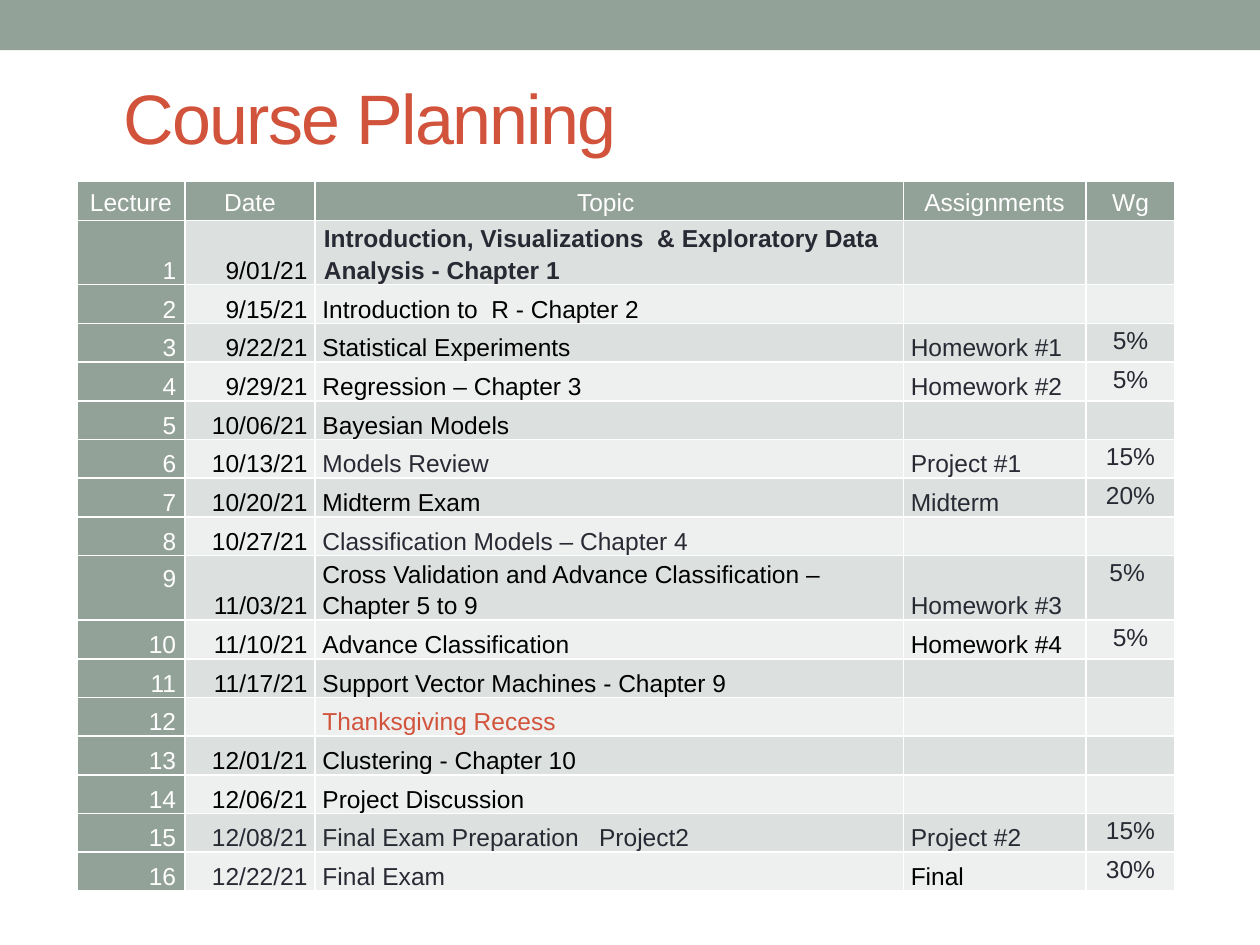
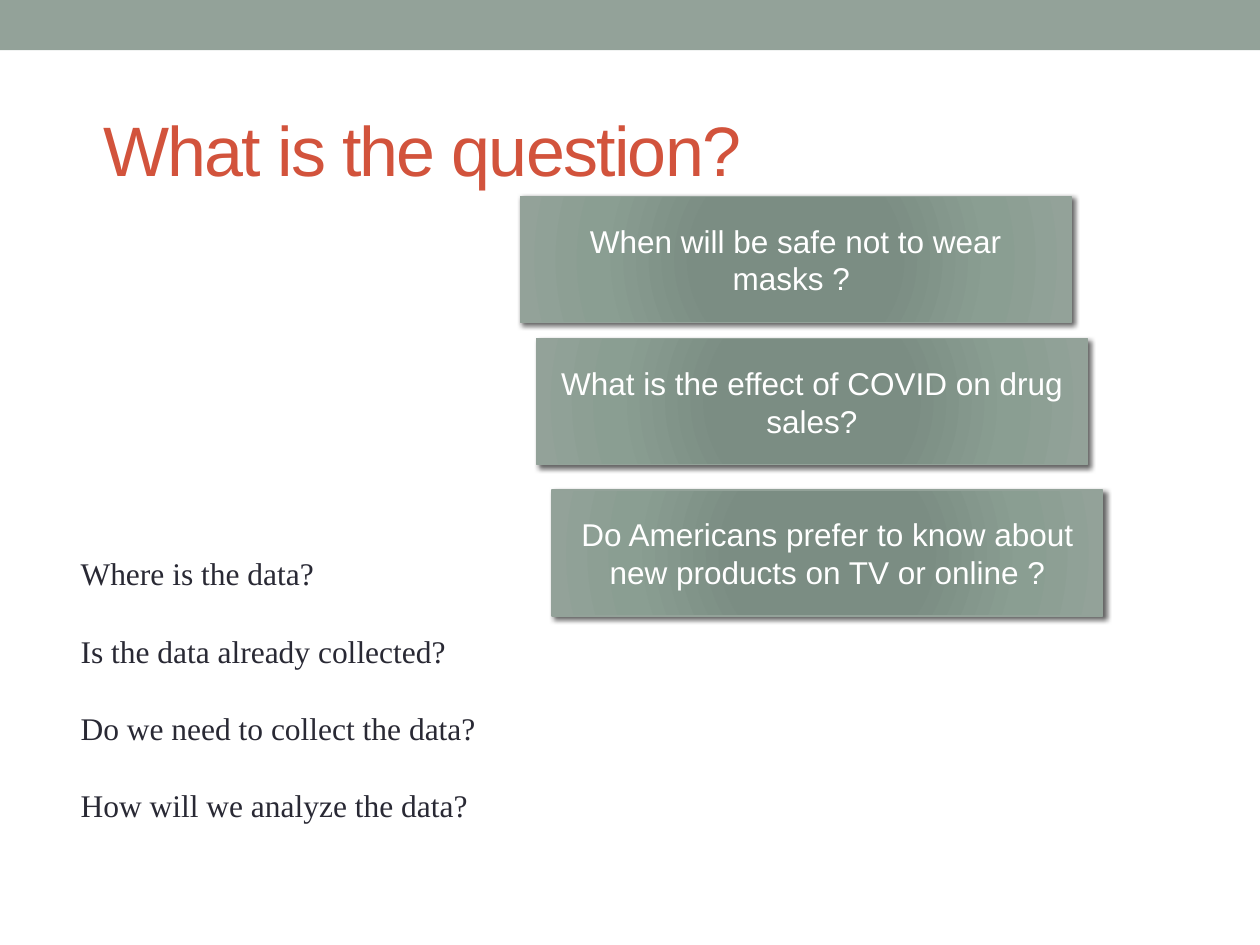
import pptx
import pptx.dml.color
import pptx.enum.shapes
import pptx.enum.text
import pptx.oxml
import pptx.oxml.ns
import pptx.util

Cm = pptx.util.Cm
Pt = pptx.util.Pt
ALIGN = pptx.enum.text.PP_ALIGN
ANCHOR = pptx.enum.text.MSO_ANCHOR

SAGE, RUST, INK = "93A299", "D2533C", "292934"
WHITE, BLACK = "FFFFFF", "000000"
BANDS = ("EEF0EF", "DCE0DE")
GLOW = ((0, "7B8E82"), (34, "7B8D83"), (70, "8A9E92"), (100, SAGE))
TITLE_ONLY, TITLE_AND_BODY = 5, 1

HEADINGS = ("Lecture", "Date", "Topic ", "Assignments", "Wg")
COLUMN_WIDTHS = (2.18, 2.62, 11.86, 3.68, 1.8)
LECTURES = (
    ("9/01/21", "Introduction, Visualizations  & Exploratory Data Analysis - Chapter 1", "", ""),
    ("9/15/21", "Introduction to  R - Chapter 2", "", ""),
    ("9/22/21", "Statistical Experiments", "Homework #1", "5%"),
    ("9/29/21", "Regression – Chapter 3", "Homework #2", "5%"),
    ("10/06/21", "Bayesian Models", "", ""),
    ("10/13/21", "Models Review", "Project #1", "15%"),
    ("10/20/21", "Midterm Exam", "Midterm", "20%"),
    ("10/27/21", "Classification Models – Chapter 4", "", ""),
    ("11/03/21", "Cross Validation and Advance Classification – Chapter 5 to 9", "Homework #3", "5% "),
    ("11/10/21", "Advance Classification", "Homework #4 ", "5%"),
    ("11/17/21", "Support Vector Machines - Chapter 9", "", ""),
    ("", "Thanksgiving Recess", "", ""),
    ("12/01/21", "Clustering - Chapter 10", "", ""),
    ("12/06/21", "Project Discussion", "", ""),
    ("12/08/21", "Final Exam Preparation   Project2", "Project #2", "15%"),
    ("12/22/21", "Final Exam", "Final", "30%"),
)
TWO_LINE_LECTURES = {1, 9}
RECESS = 12
INK_DATES = {15, 16}
INK_TOPICS = {1, 6, 8, 15, 16}
BLACK_ASSIGNMENTS = {10, 16}

EXAMPLES = (
    (10.49, 3.96, "When will be safe not to wear masks ? "),
    (10.82, 6.83, "What is the effect of COVID on drug sales?"),
    (11.13, 9.88, "Do Americans prefer to know about new products on TV or online ?"),
)
DATA_QUESTIONS = (
    "Where is the data?",
    "Is the data already collected?",
    "Do we need to collect the data?",
    "How will we analyze the data?",
)


def rgb(hex_code):
    return pptx.dml.color.RGBColor.from_string(hex_code)


def drawing_xml(tag, attributes="", content=""):
    """Build one element of the DrawingML namespace."""
    namespace = pptx.oxml.ns.nsdecls("a")
    return pptx.oxml.parse_xml(f"<a:{tag} {namespace} {attributes}>{content}</a:{tag}>")


def color_xml(hex_code, content=""):
    return f'<a:srgbClr val="{hex_code}">{content}</a:srgbClr>'


def place(shape, left, top, width, height):
    shape.left, shape.top, shape.width, shape.height = map(Cm, (left, top, width, height))


class Deck:
    def __init__(self):
        self.prs = pptx.Presentation()
        self.prs.slide_width, self.prs.slide_height = Cm(25.4), Cm(19.05)
        self.slide = None

    def new_slide(self, layout):
        self.slide = self.prs.slides.add_slide(self.prs.slide_layouts[layout])

    def rectangle(self, left, top, width, height):
        kind = pptx.enum.shapes.MSO_SHAPE.RECTANGLE
        shape = self.slide.shapes.add_shape(kind, *map(Cm, (left, top, width, height)))
        shape.shadow.inherit = False
        return shape

    def master_band(self):
        """Draw the top band and hand it to the master, behind everything."""
        band = self.rectangle(0, 0, 25.4, 1.01)
        band.fill.solid()
        band.fill.fore_color.rgb = rgb(SAGE)
        band.line.fill.background()
        self.prs.slide_master.shapes._spTree.insert(2, band._element)

    def styled_run(self, paragraph, text, size, color, font="Arial", align=ALIGN.LEFT, bold=False):
        paragraph.alignment = align
        run = paragraph.add_run()
        run.text = text
        run.font.size, run.font.name, run.font.bold = Pt(size), font, bold
        run.font.color.rgb = rgb(color)
        return run

    def title(self, text, left, top, width, height):
        title = self.slide.shapes.title
        place(title, left, top, width, height)
        frame = title.text_frame
        frame.auto_size = pptx.enum.text.MSO_AUTO_SIZE.NONE
        frame.vertical_anchor = ANCHOR.MIDDLE
        run = self.styled_run(frame.paragraphs[0], text, 40, RUST)
        run._r.get_or_add_rPr().set("spc", "-100")

    def plain_list(self, items, left, top, width, height):
        body = self.slide.placeholders[1]
        place(body, left, top, width, height)
        frame = body.text_frame
        frame.auto_size = pptx.enum.text.MSO_AUTO_SIZE.NONE
        for index, item in enumerate(items):
            paragraph = frame.add_paragraph() if index else frame.paragraphs[0]
            paragraph.space_before, paragraph.space_after = Pt(0), Pt(22.5)
            self.styled_run(paragraph, item, 18, INK, "Times New Roman")
            properties = paragraph._p.get_or_add_pPr()
            properties.set("marL", "0")
            properties.set("indent", "0")
            properties.append(drawing_xml("buNone"))

    def glowing_box(self, text, left, top, width, height):
        box = self.rectangle(left, top, width, height)
        box.line.color.rgb = rgb(SAGE)
        box.line.width = Pt(0.75)
        stops = "".join(f'<a:gs pos="{at * 1000}">{color_xml(color)}</a:gs>' for at, color in GLOW)
        center = " ".join(f'{side}="100000"' for side in "ltrb")
        properties = box._element.spPr
        properties.insert(2, drawing_xml(
            "gradFill", 'rotWithShape="1"',
            f'<a:gsLst>{stops}</a:gsLst><a:path path="circle"><a:fillToRect {center}/></a:path>'))
        effects = properties.find(pptx.oxml.ns.qn("a:effectLst"))
        effects.append(drawing_xml(
            "outerShdw", f'blurRad="{Pt(3)}" dist="{Pt(2)}" dir="2700000" rotWithShape="0"',
            color_xml(BLACK, '<a:alpha val="60000"/>')))
        frame = box.text_frame
        frame.word_wrap = True
        frame.vertical_anchor = ANCHOR.MIDDLE
        self.styled_run(frame.paragraphs[0], text, 18, WHITE, align=ALIGN.CENTER)

    def table(self, left, top, column_widths, row_heights):
        table = self.slide.shapes.add_table(
            len(row_heights), len(column_widths), Cm(left), Cm(top),
            Cm(sum(column_widths)), Cm(sum(row_heights))).table
        table.horz_banding = False
        for column, width in zip(table.columns, column_widths):
            column.width = Cm(width)
        for row, height in zip(table.rows, row_heights):
            row.height = Cm(height)
        return table

    def cell(self, cell, text, fill, color, align, anchor, bold=False, margin=0.15):
        cell.fill.solid()
        cell.fill.fore_color.rgb = rgb(fill)
        cell.margin_left = cell.margin_right = Cm(margin)
        cell.margin_top = cell.margin_bottom = 0
        cell.vertical_anchor = anchor
        for index, side in enumerate("LRTB"):
            border = drawing_xml(f"ln{side}", f'w="{Pt(1)}"',
                                 f"<a:solidFill>{color_xml(WHITE)}</a:solidFill>")
            cell._tc.get_or_add_tcPr().insert(index, border)
        if text:
            paragraph = cell.text_frame.paragraphs[0]
            paragraph.line_spacing = 1.15
            self.styled_run(paragraph, text, 14, color, align=align, bold=bold)


def topic_color(lecture):
    if lecture == RECESS:
        return RUST
    return INK if lecture in INK_TOPICS else BLACK


def course_planning(deck):
    deck.title("Course Planning", 2.24, 1.09, 20.95, 2.51)
    heights = [0.78] + [1.3 if number in TWO_LINE_LECTURES else 0.78
                        for number in range(1, len(LECTURES) + 1)]
    plan = deck.table(1.55, 3.66, COLUMN_WIDTHS, heights)
    for column, heading in enumerate(HEADINGS):
        deck.cell(plan.cell(0, column), heading, SAGE, WHITE, ALIGN.CENTER, ANCHOR.MIDDLE)
    for number, (date, topic, assignment, weight) in enumerate(LECTURES, 1):
        band = BANDS[number % 2]
        first = number == 1
        date_color = INK if number in INK_DATES else BLACK
        assignment_color = BLACK if number in BLACK_ASSIGNMENTS else INK
        entries = (
            (str(number), SAGE, WHITE, ALIGN.RIGHT, ANCHOR.BOTTOM, False, 0.18),
            (date, band, date_color, ALIGN.RIGHT, ANCHOR.BOTTOM),
            (topic, band, topic_color(number), ALIGN.LEFT, ANCHOR.BOTTOM, first, 0.18 if first else 0.15),
            (assignment, band, assignment_color, ALIGN.LEFT, ANCHOR.BOTTOM),
            (weight, band, INK, ALIGN.CENTER, ANCHOR.TOP, False, 0.18),
        )
        for column, entry in enumerate(entries):
            deck.cell(plan.cell(number, column), *entry)
    plan.cell(9, 0).margin_bottom = Cm(0.55)


def the_question(deck):
    deck.title("What is the question?", 1.83, 1.09, 20.95, 3.81)
    deck.plain_list(DATA_QUESTIONS, 1.37, 11.05, 20.95, 6.4)
    for left, top, example in EXAMPLES:
        deck.glowing_box(example, left, top, 11.1, 2.54)


def main():
    deck = Deck()
    deck.new_slide(TITLE_ONLY)
    deck.master_band()
    course_planning(deck)
    deck.new_slide(TITLE_AND_BODY)
    the_question(deck)
    deck.prs.save("out.pptx")


if __name__ == "__main__":
    main()
